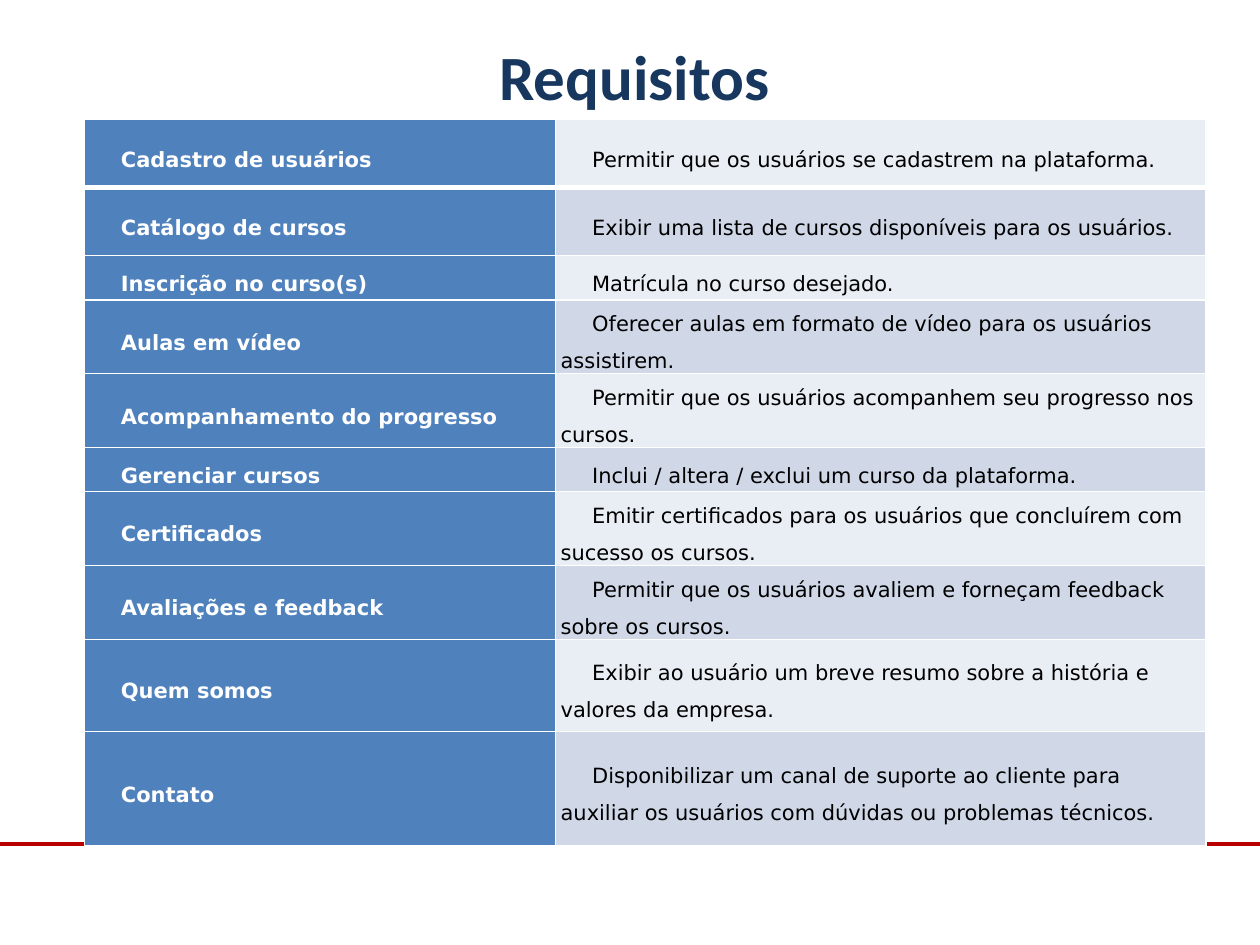
from dataclasses import dataclass

import pptx
import pptx.dml.color
import pptx.enum.shapes
import pptx.enum.text
import pptx.oxml
import pptx.oxml.ns
import pptx.util
from pptx.util import Inches, Pt


@dataclass(frozen=True)
class Theme:
    title_font: str = "Calibri"
    body_font: str = "DejaVu Sans"
    title_size: int = 36
    body_size: int = 12
    title: str = "17375E"
    rule: str = "B90000"
    label_fill: str = "4F81BD"
    bands: tuple = ("E9EDF4", "D0D8E8")
    white: str = "FFFFFF"
    black: str = "000000"


THEME = Theme()

# Row height, requirement, description
REQUIREMENTS = [
    (0.54, "Cadastro de usuários", "Permitir que os usuários se cadastrem na plataforma."),
    (0.54, "Catálogo de cursos", "Exibir uma lista de cursos disponíveis para os usuários."),
    (0.35, "Inscrição no curso(s)", "Matrícula no curso desejado."),
    (0.54, "Aulas em vídeo",
     "Oferecer aulas em formato de vídeo para os usuários assistirem."),
    (0.54, "Acompanhamento do progresso",
     "Permitir que os usuários acompanhem seu progresso nos cursos."),
    (0.35, "Gerenciar cursos", "Inclui / altera / exclui um curso da plataforma."),
    (0.54, "Certificados",
     "Emitir certificados para os usuários que concluírem com sucesso os cursos."),
    (0.54, "Avaliações e feedback",
     "Permitir que os usuários avaliem e forneçam feedback sobre os cursos."),
    (0.73, "Quem somos",
     "Exibir ao usuário um breve resumo sobre a história e valores da empresa."),
    (0.91, "Contato",
     "Disponibilizar um canal de suporte ao cliente para auxiliar os usuários "
     "com dúvidas ou problemas técnicos."),
]
COLUMN_WIDTHS = (3.74, 5.16)


def rgb(value):
    return pptx.dml.color.RGBColor.from_string(value)


def add_run(p, text, font, size, color, bold):
    r = p.add_run()
    r.text = text
    r.font.name = font
    r.font.size = Pt(size)
    r.font.bold = bold
    r.font.color.rgb = rgb(color)


def add_rule(s, y):
    line = s.shapes.add_connector(
        pptx.enum.shapes.MSO_CONNECTOR.STRAIGHT,
        Inches(0), Inches(y), Inches(10), Inches(y))
    line.line.color.rgb = rgb(THEME.rule)
    line.line.width = Pt(2.25)
    line._element.spPr.append(pptx.oxml.parse_xml(
        f"<a:effectLst {pptx.oxml.ns.nsdecls('a')}/>"))


def set_title(s, text):
    sp = s.shapes.title
    sp.left, sp.top = Inches(0.35), Inches(0.21)
    sp.width, sp.height = Inches(9.37), Inches(0.77)
    tf = sp.text_frame
    tf.vertical_anchor = pptx.enum.text.MSO_ANCHOR.MIDDLE
    p = tf.paragraphs[0]
    p.alignment = pptx.enum.text.PP_ALIGN.CENTER
    add_run(p, text, THEME.title_font, THEME.title_size, THEME.title, True)


def set_borders(cell, top, bottom):
    tcPr = cell._tc.get_or_add_tcPr()
    for side, width in (("L", 1), ("R", 1), ("T", top), ("B", bottom)):
        tcPr.append(pptx.oxml.parse_xml(
            f'<a:ln{side} {pptx.oxml.ns.nsdecls("a")} w="{Pt(width)}">'
            f'<a:solidFill><a:srgbClr val="{THEME.white}"/></a:solidFill>'
            f'</a:ln{side}>'))


def fill_cell(cell, text, fill, color, bold):
    cell.margin_left = cell.margin_right = Inches(0.04)
    cell.margin_top = cell.margin_bottom = 0
    cell.vertical_anchor = pptx.enum.text.MSO_ANCHOR.MIDDLE
    cell.fill.solid()
    cell.fill.fore_color.rgb = rgb(fill)
    p = cell.text_frame.paragraphs[0]
    p.line_spacing = 1.5
    p.space_before, p.space_after = Pt(6), Pt(8)
    pPr = p._p.get_or_add_pPr()
    pPr.set("marL", "0")
    pPr.set("indent", str(Inches(0.25)))
    add_run(p, text, THEME.body_font, THEME.body_size, color, bold)


def add_requirements_table(s):
    heights = [row[0] for row in REQUIREMENTS]
    table = s.shapes.add_table(
        len(REQUIREMENTS), len(COLUMN_WIDTHS), Inches(0.67), Inches(0.95),
        Inches(sum(COLUMN_WIDTHS)), Inches(sum(heights))).table
    table.first_col = True
    for column, width in zip(table.columns, COLUMN_WIDTHS):
        column.width = Inches(width)
    for i, (height, label, description) in enumerate(REQUIREMENTS):
        table.rows[i].height = Inches(height)
        name_cell, text_cell = table.rows[i].cells
        for cell in (name_cell, text_cell):
            set_borders(cell, top=3 if i == 1 else 1, bottom=3 if i == 0 else 1)
        fill_cell(name_cell, label, THEME.label_fill, THEME.white, True)
        fill_cell(text_cell, description, THEME.bands[i % 2], THEME.black, False)


def main():
    prs = pptx.Presentation()
    prs.slide_width, prs.slide_height = Inches(10), Inches(7.5)
    s = prs.slides.add_slide(prs.slide_layouts[5])
    add_rule(s, 6.7)
    set_title(s, "Requisitos")
    add_requirements_table(s)
    prs.save("out.pptx")


if __name__ == "__main__":
    main()
